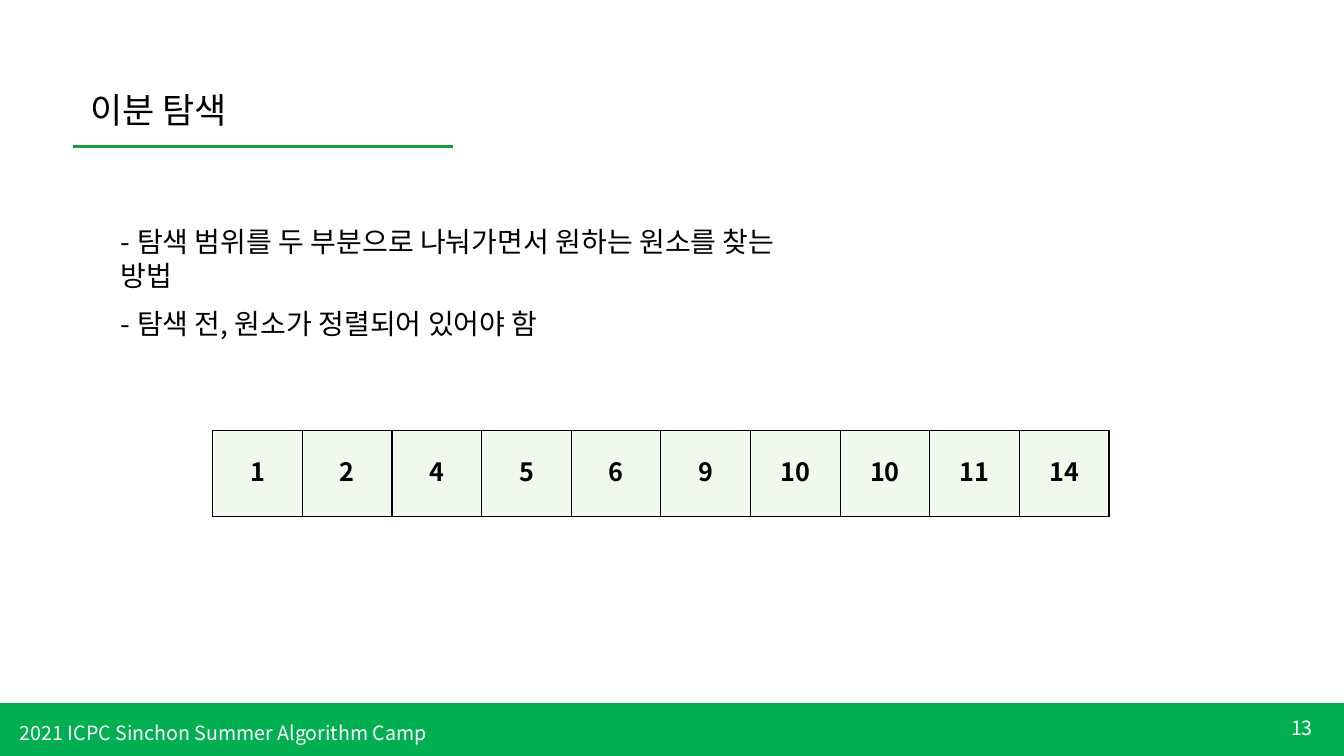
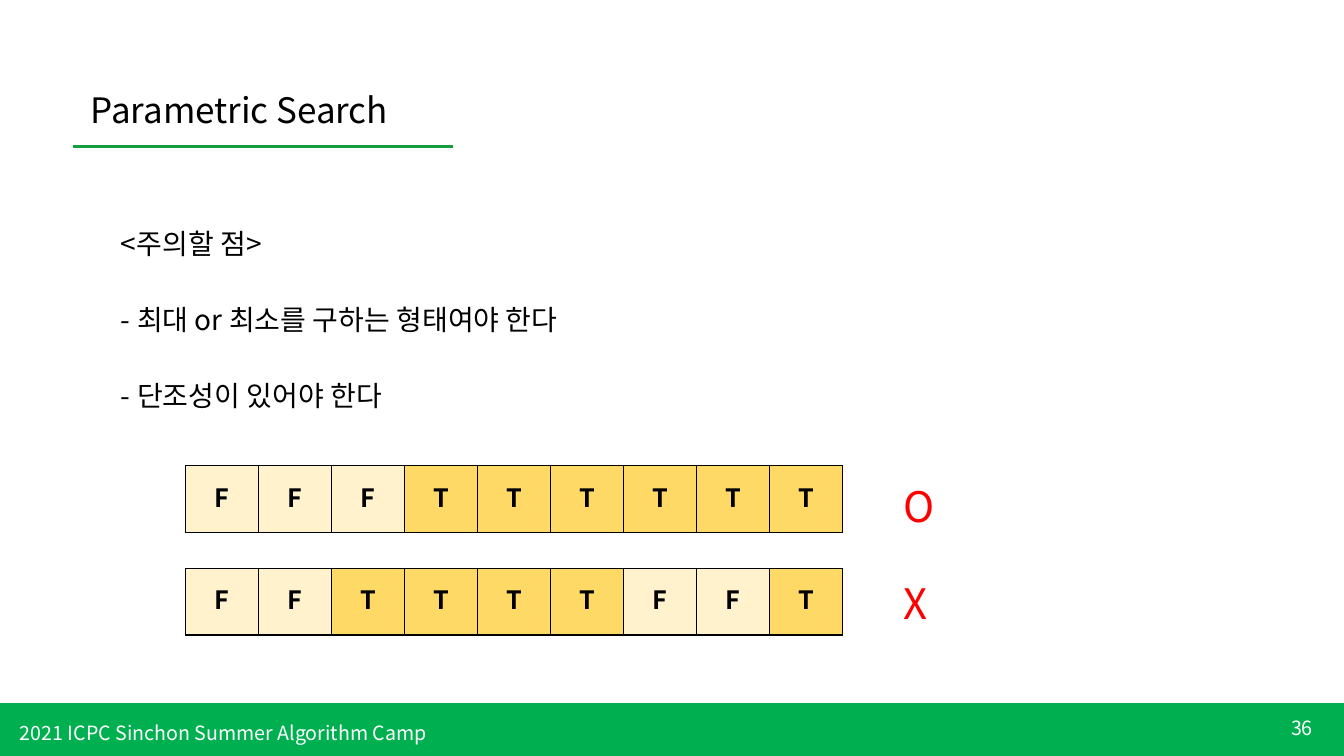
from dataclasses import dataclass

from lxml.etree import SubElement
from pptx import Presentation
from pptx.dml.color import RGBColor
from pptx.enum.shapes import MSO_CONNECTOR, MSO_SHAPE
from pptx.enum.text import MSO_ANCHOR, MSO_AUTO_SIZE, PP_ALIGN
from pptx.oxml.ns import qn
from pptx.util import Emu, Pt

PX = 9144  # EMU per px, 100 px to the inch
SLIDE_WIDTH, SLIDE_HEIGHT = 1333, 750
FOOTER = "2021 ICPC Sinchon Summer Algorithm Camp"


@dataclass(frozen=True)
class Theme:
    font: str = "Noto Sans CJK KR"
    text: str = "000000"
    white: str = "FFFFFF"
    band: str = "00B050"
    rule: str = "159D41"
    mark: str = "FF0000"
    number_cell: str = "F1F8EC"
    false_cell: str = "FFF2CC"
    true_cell: str = "FFD966"
    title_size: int = 25
    body_size: int = 20
    cell_size: int = 18
    footer_size: int = 14
    mark_size: int = 30
    line_height: float = 1.22


THEME = Theme()
TRUTH_FILLS = {"F": THEME.false_cell, "T": THEME.true_cell}


def px(*lengths):
    return [Emu(length * PX) for length in lengths]


def color(value):
    return RGBColor.from_string(value)


# Text
def write_text(frame, text, *, size, fill=THEME.text, bold=False,
               align=PP_ALIGN.LEFT, anchor=MSO_ANCHOR.TOP, gap=0):
    """Write one paragraph per line of text, with gap points between them."""
    frame.text = text
    frame.vertical_anchor = anchor
    frame.word_wrap = True
    for index, paragraph in enumerate(frame.paragraphs):
        properties = paragraph._p.get_or_add_pPr()
        properties.set("marL", "0")
        properties.set("indent", "0")
        SubElement(properties, qn("a:buNone"))
        paragraph.alignment = align
        paragraph.line_spacing = Pt(round(size * THEME.line_height, 1))
        paragraph.space_before = Pt(gap if index else 0)
        for run in paragraph.runs:
            font = run.font
            font.size, font.bold, font.name = Pt(size), bold, THEME.font
            font.color.rgb = color(fill)
            SubElement(run._r.get_or_add_rPr(), qn("a:ea"), typeface=THEME.font)


def add_text(slide, box, text, **text_format):
    shape = slide.shapes.add_textbox(*px(*box))
    write_text(shape.text_frame, text, **text_format)


def fill_placeholder(shape, box, text, **text_format):
    shape.left, shape.top, shape.width, shape.height = px(*box)
    shape.text_frame.auto_size = MSO_AUTO_SIZE.NONE
    write_text(shape.text_frame, text, **text_format)


# Tables
def add_borders(cell):
    properties = cell._tc.get_or_add_tcPr()
    for index, side in enumerate(("lnL", "lnR", "lnT", "lnB")):
        line = properties.makeelement(qn(f"a:{side}"), {"w": str(Pt(1))})
        fill = SubElement(line, qn("a:solidFill"))
        SubElement(fill, qn("a:srgbClr"), val=THEME.text)
        properties.insert(index, line)


def add_array(slide, box, values, fills):
    """Draw a one-row table, with the fill of each value from fills."""
    left, top, width, height = px(*box)
    table = slide.shapes.add_table(1, len(values), left, top, width, height).table
    table.first_row = table.horz_banding = False
    for column in table.columns:
        column.width = Emu(width // len(values))
    for cell, value in zip(table.rows[0].cells, values):
        cell.fill.solid()
        cell.fill.fore_color.rgb = color(fills[value])
        write_text(cell.text_frame, value, size=THEME.cell_size, bold=True,
                   align=PP_ALIGN.CENTER)
        cell.vertical_anchor = MSO_ANCHOR.MIDDLE
        add_borders(cell)


# Shared slide parts
def add_band(slide, number):
    band = slide.shapes.add_shape(MSO_SHAPE.RECTANGLE, *px(0, 698, SLIDE_WIDTH, 52))
    band.shadow.inherit = False
    band.fill.solid()
    band.fill.fore_color.rgb = band.line.color.rgb = color(THEME.band)
    band.line.width = Pt(1)
    footer_format = {"size": THEME.footer_size, "fill": THEME.white}
    add_text(slide, (1212, 702, 100, 40), str(number), align=PP_ALIGN.RIGHT,
             anchor=MSO_ANCHOR.MIDDLE, **footer_format)
    add_text(slide, (10, 710, 576, 34), FOOTER, **footer_format)


def add_title_rule(slide):
    rule = slide.shapes.add_connector(MSO_CONNECTOR.STRAIGHT, *px(72, 145, 449, 145))
    rule.line.color.rgb = color(THEME.rule)
    rule.line.width = Pt(2.25)
    SubElement(rule._element.spPr, qn("a:effectLst"))


def add_content_slide(presentation, number, title, points, *, top, height, gap):
    slide = presentation.slides.add_slide(presentation.slide_layouts[1])
    add_band(slide, number)
    add_title_rule(slide)
    fill_placeholder(slide.shapes.title, (80, 82, 368, 52), title,
                     size=THEME.title_size)
    fill_placeholder(slide.placeholders[1], (110, top, 719, height),
                     "\n".join(points), size=THEME.body_size, gap=gap)
    return slide


# Slides
def build_binary_search(presentation):
    points = ["- 탐색 범위를 두 부분으로 나눠가면서 원하는 원소를 찾는 방법",
              "- 탐색 전, 원소가 정렬되어 있어야 함"]
    slide = add_content_slide(presentation, 13, "이분 탐색", points,
                              top=217, height=125, gap=10)
    values = "1 2 4 5 6 9 10 10 11 14".split()
    add_array(slide, (211, 427, 889, 85), values,
              dict.fromkeys(values, THEME.number_cell))


def build_parametric_search(presentation):
    points = ["<주의할 점>", "- 최대 or 최소를 구하는 형태여야 한다",
              "- 단조성이 있어야 한다"]
    slide = add_content_slide(presentation, 36, "Parametric Search", points,
                              top=219, height=194, gap=30)
    examples = [("FFFTTTTTT", 462, "O", 471), ("FFTTTTFFT", 564, "X", 567)]
    for values, top, mark, mark_top in examples:
        add_array(slide, (184, top, 652, 66), values, TRUTH_FILLS)
        add_text(slide, (886, mark_top, 70, 61), mark, size=THEME.mark_size,
                 fill=THEME.mark)


def main():
    presentation = Presentation()
    presentation.slide_width, presentation.slide_height = px(SLIDE_WIDTH, SLIDE_HEIGHT)
    build_binary_search(presentation)
    build_parametric_search(presentation)
    presentation.save("out.pptx")


if __name__ == "__main__":
    main()
